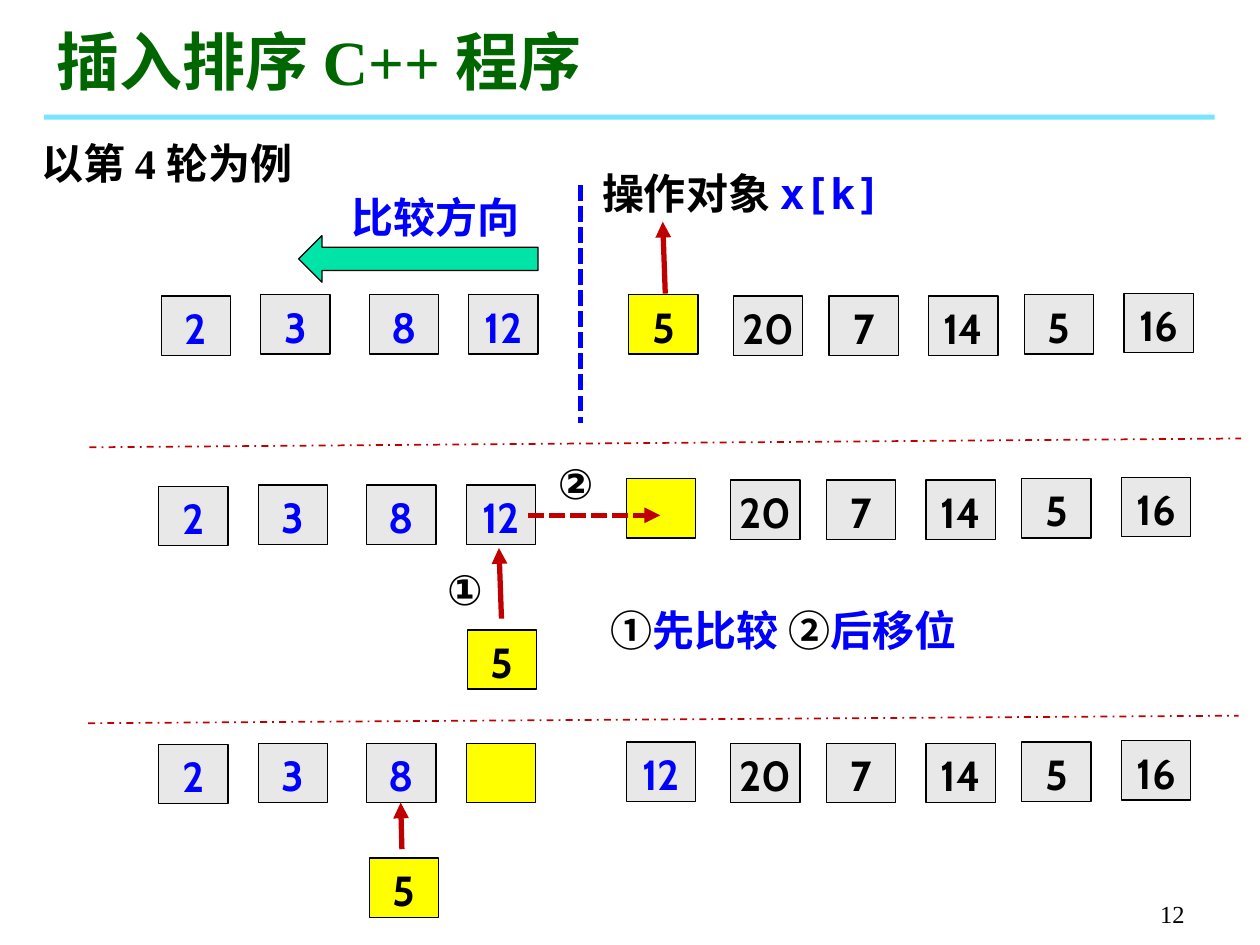
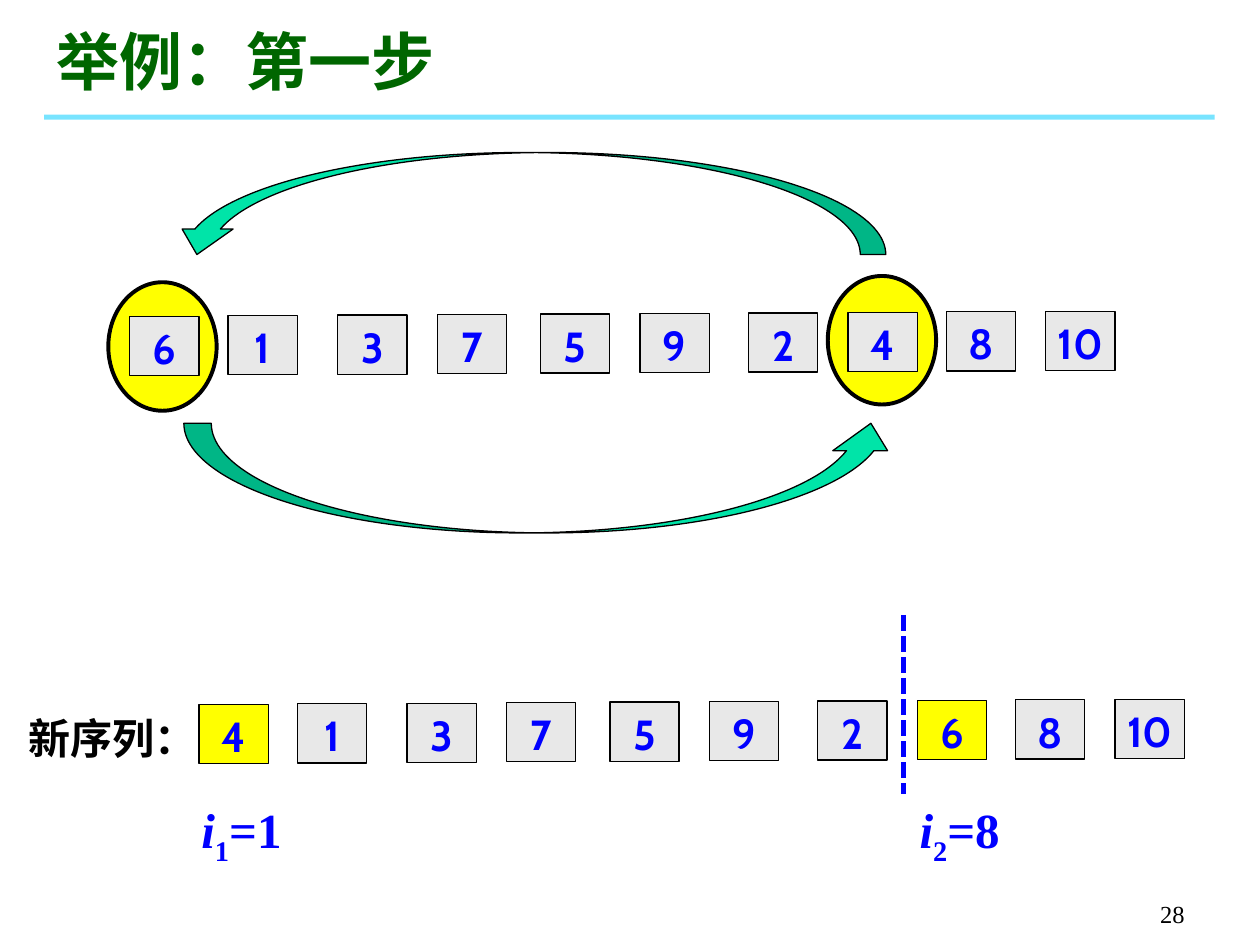
"""Build two slides on sorting: an insertion round and a partition step."""
import pptx
import pptx.util
import pptx.dml.color
import pptx.enum.shapes
import pptx.enum.text
import pptx.oxml.ns
from lxml import etree

Inches = pptx.util.Inches
Kind = pptx.enum.shapes.MSO_SHAPE
Align = pptx.enum.text.PP_ALIGN
Anchor = pptx.enum.text.MSO_ANCHOR
qn = pptx.oxml.ns.qn
rgb = pptx.dml.color.RGBColor.from_string

hues = {"title": "006600", "black": "000000", "blue": "0000FF", "red": "C00000",
        "grey": "E8E8E8", "yellow": "FFFF00", "green": "00E4A8", "band": "00CCFF"}
serif, sans, mono, digit = "Times New Roman", "Noto Sans CJK SC", "DejaVu Sans Mono", "Cabin"


def put(slide, at, runs=(), kind=None, fill=None, edge=0.75, size=24, bold=True,
        align=Align.LEFT, anchor=Anchor.TOP, wrap=True):
    place = [Inches(n) for n in at]
    if kind is None:
        shape = slide.shapes.add_textbox(*place)
    else:
        shape = slide.shapes.add_shape(kind, *place)
        shape.shadow.inherit = False
        shape.fill.solid()
        shape.fill.fore_color.rgb = rgb(hues[fill])
        if edge:
            shape.line.color.rgb = rgb(hues["black"])
            shape.line.width = pptx.util.Pt(edge)
        else:
            shape.line.fill.background()
    frame = shape.text_frame
    frame.word_wrap = wrap
    frame.vertical_anchor = anchor
    para = frame.paragraphs[0]
    para.alignment = align
    for words, face, hue, *base in runs:
        run = para.add_run()
        run.text = words
        run.font.size = pptx.util.Pt(size)
        run.font.bold = bold
        run.font.name = face
        run.font.color.rgb = rgb(hues[hue])
        props = run._r.get_or_add_rPr()
        props.find(qn("a:latin")).addnext(etree.Element(qn("a:ea"), typeface=sans))
        if base == ["slant"]:
            run.font.italic = True
        elif base == ["sub"]:
            props.set("baseline", "-25000")
    return shape


def draw(slide, start, end, hue, width, dash=None, arrow=False):
    line = slide.shapes.add_connector(
        pptx.enum.shapes.MSO_CONNECTOR.STRAIGHT, *[Inches(n) for n in start + end])
    line.line.color.rgb = rgb(hues[hue])
    line.line.width = pptx.util.Pt(width)
    props = line._element.spPr
    stroke = props.find(qn("a:ln"))
    if dash:
        etree.SubElement(stroke, qn("a:prstDash"), val=dash)
    if arrow:
        etree.SubElement(stroke, qn("a:tailEnd"), type="triangle")
    etree.SubElement(props, qn("a:effectLst"))


deck = pptx.Presentation()
deck.slide_width, deck.slide_height = Inches(10), Inches(7.5)

slides = []
for title, number in [("插入排序 C++ 程序", "12"), ("举例：第一步", "28")]:
    slide = deck.slides.add_slide(deck.slide_layouts[6])
    band = put(slide, (0.35, 0.91, 9.29, 0.04), kind=Kind.RECTANGLE, fill="band", edge=0)
    tint = band._element.spPr.find(qn("a:solidFill"))[0]
    etree.SubElement(tint, qn("a:alpha"), val="53000")
    put(slide, (0.35, 0.13, 5.36, 0.7), [(title, serif, "title")], size=36,
        anchor=Anchor.BOTTOM)
    put(slide, (7.42, 6.92, 2.08, 0.5), [(number, serif, "black")], size=14,
        bold=False, align=Align.RIGHT, anchor=Anchor.BOTTOM)
    slides.append(slide)
sort, swap = slides

for center in [(1.29, 2.75), (7, 2.7)]:
    put(swap, (center[0] - 0.43, center[1] - 0.51, 0.86, 1.02), kind=Kind.OVAL,
        fill="yellow", edge=2.25)

cells = []
left = [1.28, 2.07, 2.93, 3.72]
right = [4.99, 5.82, 6.58, 7.37, 8.13, 8.92]
drift = [0.01, 0, 0, 0, 0, 0.01, 0.01, 0.01, 0, -0.01]
for shift, top, low, row in [
        (0, 2.34, 2.34, ["2", "3", "8", "12", "5", "20", "7", "14", "5", "16"]),
        (-0.02, 3.85, 3.8, ["2", "3", "8", "12", "", "20", "7", "14", "5", "16"]),
        (-0.02, 5.9, 5.89, ["2", "3", "8", "", "12", "20", "7", "14", "5", "16"])]:
    for col, word in enumerate(row):
        x = (left + right)[col] + shift
        y = (top if col < 4 else low) + drift[col]
        fill = "yellow" if word == "" or (top == 2.34 and col == 4) else "grey"
        hue = "blue" if col < 4 or word == "12" else "black"
        cells.append((sort, x, y, word, fill, hue))
for x, y in [(3.71, 5), (2.93, 6.81)]:
    cells.append((sort, x, y, "5", "yellow", "black"))

spots = [1.03, 1.81, 2.68, 3.47, 4.29, 5.08, 5.94, 6.73, 7.51, 8.3]
for shift, top, row, marks in [
        (0, 2.51, ["6", "1", "3", "7", "5", "9", "2", "4", "8", "10"], []),
        (0.55, 5.59, ["4", "1", "3", "7", "5", "9", "2", "6", "8", "10"], [0, 7])]:
    for col, word in enumerate(row):
        fill = "yellow" if col in marks else "grey"
        cells.append((swap, spots[col] + shift, top - 0.04 * col / 9, word, fill, "blue"))

for slide, x, y, word, fill, hue in cells:
    runs = [(word, digit, hue)] if word else []
    put(slide, (x, y, 0.55, 0.47), runs, Kind.RECTANGLE, fill,
        align=Align.CENTER, wrap=False)

put(sort, (0.23, 1.04, 2.85, 0.5), [("以第 4 轮为例", serif, "black")])
put(sort, (4.68, 1.28, 2.66, 0.5),
    [("操作对象 ", serif, "black"), ("x[k]", mono, "blue")])
put(sort, (2.37, 1.87, 1.9, 0.37), kind=Kind.LEFT_ARROW, fill="green")
put(sort, (2.69, 1.47, 1.55, 0.5), [("比较方向", sans, "blue")], wrap=False)
put(sort, (4.75, 4.75, 3.28, 0.5),
    [("①", digit, "black"), ("先比较 ", sans, "blue"),
     ("②", digit, "black"), ("后移位", sans, "blue")])
put(sort, (3.45, 4.42, 0.48, 0.5), [("①", digit, "black")])
put(sort, (4.33, 3.58, 0.54, 0.5), [("②", digit, "black")], wrap=False)

for start, end, dash in [((5.28, 2.33), (5.26, 1.76), None),
                         ((3.98, 4.91), (3.96, 4.35), None),
                         ((4.19, 4.09), (5.24, 4.09), "sysDash"),
                         ((3.19, 6.74), (3.18, 6.37), None)]:
    draw(sort, start, end, "red", 3, dash, arrow=True)
for start, end in [((0.71, 3.55), (9.85, 3.48)), ((0.7, 5.74), (9.83, 5.68))]:
    draw(sort, start, end, "red", 1, "dashDot")
for slide, x, top, low in [(sort, 4.61, 1.47, 3.36), (swap, 7.17, 4.88, 6.3)]:
    draw(slide, (x, top), (x, low), "blue", 3, "sysDash")

put(swap, (1.46, 3.36, 5.67, 0.87), kind=Kind.CURVED_UP_ARROW, fill="green")
back = put(swap, (1.36, 1.21, 5.67, 0.81), kind=Kind.CURVED_UP_ARROW, fill="green")
back.rotation = 180

label = put(swap, (0.13, 5.56, 1.97, 0.55), [("新序列：", mono, "black")],
            anchor=Anchor.MIDDLE)
label.text_frame.paragraphs[0].line_spacing = 1.1
for x, index, value in [(1.5, "1", "=1"), (7.2, "2", "=8")]:
    put(swap, (x, 6.3, 0.86, 0.57),
        [("i", serif, "blue", "slant"), (index, serif, "blue", "sub"),
         (value, serif, "blue")], size=28, wrap=False)

deck.save("out.pptx")
